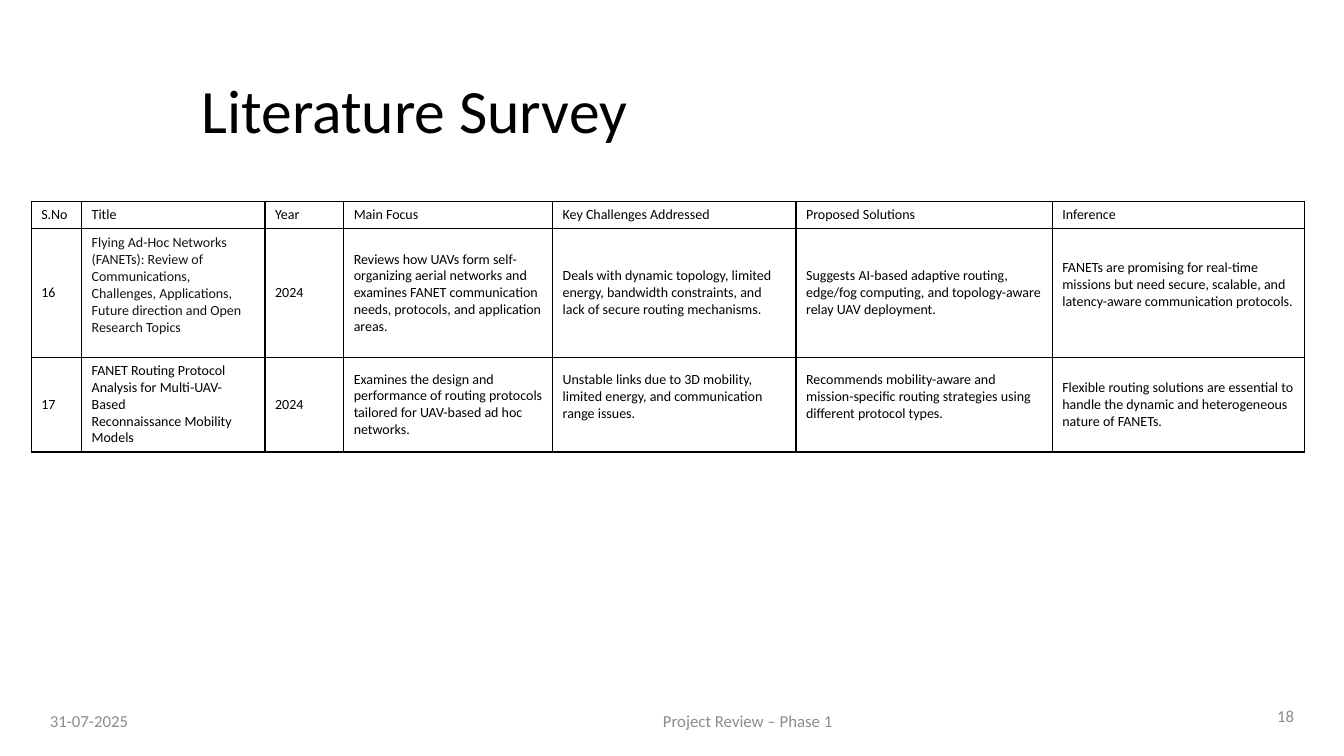
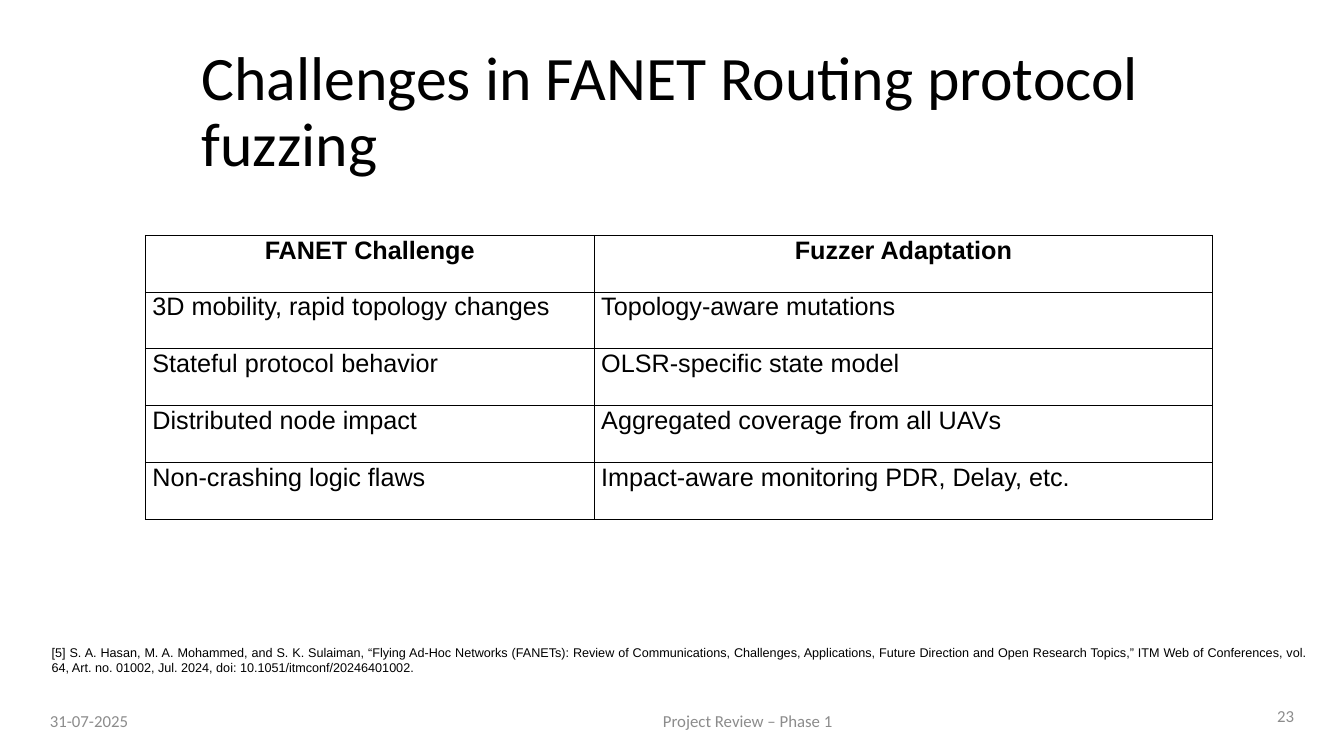
"""Build two review slides on FANET routing, each with a title, a ruled table and a footer."""
import dataclasses
import typing

import lxml.etree
import pptx
import pptx.dml.color
import pptx.enum.text
import pptx.oxml.ns
import pptx.util

ALIGN = pptx.enum.text.PP_ALIGN
ANCHOR = pptx.enum.text.MSO_ANCHOR
GRID = pptx.util.Inches(0.1)
COLUMNS, ROWS = 133.33, 75


@dataclasses.dataclass(frozen=True)
class Theme:
    ink: str = "000000"
    soft_ink: str = "131314"
    muted: str = "8C8C8C"
    paper: str = "FFFFFF"
    heading: str = "Calibri"
    body: str = "Arial"
    title_size: float = 44
    long_title_size: float = 44.1
    footer_size: float = 12
    survey_size: float = 10
    challenge_size: float = 18
    reference_size: float = 9


THEME = Theme()


@dataclasses.dataclass(frozen=True)
class TextStyle:
    font: str
    size: float
    color: str = THEME.ink
    align: ALIGN = ALIGN.LEFT
    anchor: ANCHOR = ANCHOR.MIDDLE
    leading: typing.Any = None
    bold: bool = False
    fill: str | None = None


@dataclasses.dataclass(frozen=True)
class Area:
    column: float
    row: float
    width: float
    height: float


@dataclasses.dataclass(frozen=True)
class TextBlock:
    area: Area
    text: str
    style: TextStyle


@dataclasses.dataclass(frozen=True)
class TableBlock:
    column: float
    row: float
    widths: tuple[float, ...]
    heights: tuple[float, ...]
    cells: tuple[tuple[str, ...], ...]
    header: TextStyle
    style: TextStyle
    border: float
    margins: dict[str, float]
    raised: dict[tuple[int, int], str] = dataclasses.field(default_factory=dict)


@dataclasses.dataclass(frozen=True)
class PageContent:
    title: str
    title_style: TextStyle
    number: str
    table: TableBlock
    notes: tuple[TextBlock, ...] = ()


TITLE = TextStyle(THEME.heading, THEME.title_size, leading=0.9, fill=THEME.paper)
LONG_TITLE = dataclasses.replace(TITLE, size=THEME.long_title_size, fill=None)
FOOTER = TextStyle(THEME.heading, THEME.footer_size, THEME.muted)
SURVEY = TextStyle(THEME.heading, THEME.survey_size, leading=pptx.util.Pt(12))
CHALLENGE = TextStyle(THEME.body, THEME.challenge_size, anchor=ANCHOR.TOP,
                      leading=pptx.util.Pt(15.8))
REFERENCE = TextStyle(THEME.body, THEME.reference_size, align=ALIGN.JUSTIFY, anchor=ANCHOR.TOP)
RAISED_MARGIN = 2.1

SURVEY_TABLE = TableBlock(
    column=3.1, row=20,
    widths=(5, 18.2, 7.8, 20.73, 24.15, 25.42, 25),
    heights=(2.68, 12.78, 9.38),
    cells=(
        ("S.No", "Title", "Year", "Main Focus", "Key Challenges Addressed",
         "Proposed Solutions", "Inference"),
        ("16",
         "Flying Ad-Hoc Networks (FANETs): Review of Communications, Challenges, "
         "Applications, Future direction and Open Research Topics",
         "2024",
         "Reviews how UAVs form self-organizing aerial networks and examines FANET "
         "communication needs, protocols, and application areas.",
         "Deals with dynamic topology, limited energy, bandwidth constraints, and lack "
         "of secure routing mechanisms.",
         "Suggests AI-based adaptive routing, edge/fog computing, and topology-aware "
         "relay UAV deployment.",
         "FANETs are promising for real-time missions but need secure, scalable, and "
         "latency-aware communication protocols."),
        ("17",
         "FANET Routing Protocol Analysis for Multi-UAV-Based\nReconnaissance Mobility Models",
         "2024",
         "Examines the design and performance of routing protocols tailored for "
         "UAV-based ad hoc networks.",
         "Unstable links due to 3D mobility, limited energy, and communication range issues.",
         "Recommends mobility-aware and mission-specific routing strategies using "
         "different protocol types.",
         "Flexible routing solutions are essential to handle the dynamic and "
         "heterogeneous nature of FANETs."),
    ),
    header=dataclasses.replace(SURVEY, fill=THEME.paper), style=SURVEY, border=1,
    margins={"margin_left": 1, "margin_right": 1, "margin_top": 0.5, "margin_bottom": 0.5},
    raised={(1, 1): THEME.soft_ink, (1, 6): THEME.ink, (2, 4): THEME.ink, (2, 5): THEME.ink},
)

CHALLENGE_TABLE = TableBlock(
    column=14.42, row=23.34,
    widths=(44.53, 61.37),
    heights=(5.64,) * 5,
    cells=(
        ("FANET Challenge", "Fuzzer Adaptation"),
        ("3D mobility, rapid topology changes", "Topology-aware mutations"),
        ("Stateful protocol behavior", "OLSR-specific state model"),
        ("Distributed node impact", "Aggregated coverage from all UAVs"),
        ("Non-crashing logic flaws", "Impact-aware monitoring PDR, Delay, etc."),
    ),
    header=dataclasses.replace(CHALLENGE, align=ALIGN.CENTER, bold=True),
    style=CHALLENGE, border=0.79,
    margins=dict.fromkeys(("margin_left", "margin_right", "margin_top", "margin_bottom"), 0.7),
)

CITATION = TextBlock(
    Area(4.14, 63.5, 126.4, 4),
    "[5] S. A. Hasan, M. A. Mohammed, and S. K. Sulaiman, “Flying Ad-Hoc Networks (FANETs): "
    "Review of Communications, Challenges, Applications, Future Direction and Open Research "
    "Topics,” ITM Web of Conferences, vol. 64, Art. no. 01002, Jul. 2024, "
    "doi: 10.1051/itmconf/20246401002.",
    REFERENCE,
)

PAGES = (
    PageContent("Literature Survey", TITLE, "18", SURVEY_TABLE),
    PageContent("Challenges in FANET Routing protocol fuzzing", LONG_TITLE, "23",
                CHALLENGE_TABLE, (CITATION,)),
)


def units(count: float) -> pptx.util.Emu:
    return pptx.util.Emu(round(count * GRID))


def assign(target: typing.Any, values: dict[str, typing.Any]) -> None:
    for name, value in values.items():
        setattr(target, name, value)


def paint(fill: typing.Any, color: str | None) -> None:
    if color is None:
        fill.background()
    else:
        fill.solid()
        fill.fore_color.rgb = pptx.dml.color.RGBColor.from_string(color)


def write_text(frame: typing.Any, text: str, style: TextStyle) -> None:
    for index, line in enumerate(text.split("\n")):
        para = frame.add_paragraph() if index else frame.paragraphs[0]
        assign(para, {"alignment": style.align, "line_spacing": style.leading})
        span = para.add_run()
        span.text = line
        assign(span.font, {"name": style.font, "size": pptx.util.Pt(style.size),
                           "bold": style.bold})
        span.font.color.rgb = pptx.dml.color.RGBColor.from_string(style.color)


def draw_text(page: typing.Any, block: TextBlock) -> None:
    area = block.area
    box = page.shapes.add_textbox(*map(units, (area.column, area.row, area.width, area.height)))
    paint(box.fill, block.style.fill)
    assign(box.text_frame, {"word_wrap": True, "vertical_anchor": block.style.anchor})
    write_text(box.text_frame, block.text, block.style)


def rule_cell(cell: typing.Any, width: float) -> None:
    properties = cell._tc.get_or_add_tcPr()
    qualified = pptx.oxml.ns.qn
    for index, side in enumerate(("lnL", "lnR", "lnT", "lnB")):
        line = lxml.etree.Element(qualified(f"a:{side}"), w=str(pptx.util.Pt(width)))
        fill = lxml.etree.SubElement(line, qualified("a:solidFill"))
        lxml.etree.SubElement(fill, qualified("a:srgbClr"), val=THEME.ink)
        properties.insert(index, line)


def draw_table(page: typing.Any, block: TableBlock) -> None:
    frame = page.shapes.add_table(
        len(block.heights), len(block.widths), units(block.column), units(block.row),
        units(sum(block.widths)), units(sum(block.heights)))
    table = frame.table
    assign(table, {"first_row": False, "horz_banding": False})
    for column, width in zip(table.columns, block.widths):
        column.width = units(width)
    for row, height in zip(table.rows, block.heights):
        row.height = units(height)
    for row_index, texts in enumerate(block.cells):
        for column_index, text in enumerate(texts):
            cell = table.cell(row_index, column_index)
            style = block.style if row_index else block.header
            margins = block.margins
            color = block.raised.get((row_index, column_index))
            if color:
                style = dataclasses.replace(style, leading=None, color=color)
                margins = margins | {"margin_bottom": RAISED_MARGIN}
            assign(cell, {name: units(value) for name, value in margins.items()})
            cell.vertical_anchor = style.anchor
            paint(cell.fill, style.fill)
            rule_cell(cell, block.border)
            write_text(cell.text_frame, text, style)


def draw_page(deck: typing.Any, content: PageContent) -> None:
    page = deck.slides.add_slide(deck.slide_layouts[6])
    centered, right = (dataclasses.replace(FOOTER, align=align)
                       for align in (ALIGN.CENTER, ALIGN.RIGHT))
    blocks = (
        TextBlock(Area(19, 4, 110.4, 14.5), content.title, content.title_style),
        TextBlock(Area(3.96, 69.5, 13.5, 4), "31-07-2025", FOOTER),
        TextBlock(Area(42.54, 69.5, 63.3, 4), "Project Review – Phase 1", centered),
        TextBlock(Area(123.56, 69, 5.8, 4), content.number, right),
    )
    for block in blocks + content.notes:
        draw_text(page, block)
    draw_table(page, content.table)


def main() -> None:
    deck = pptx.Presentation()
    assign(deck, {"slide_width": units(COLUMNS), "slide_height": units(ROWS)})
    for content in PAGES:
        draw_page(deck, content)
    deck.save("out.pptx")


if __name__ == "__main__":
    main()
